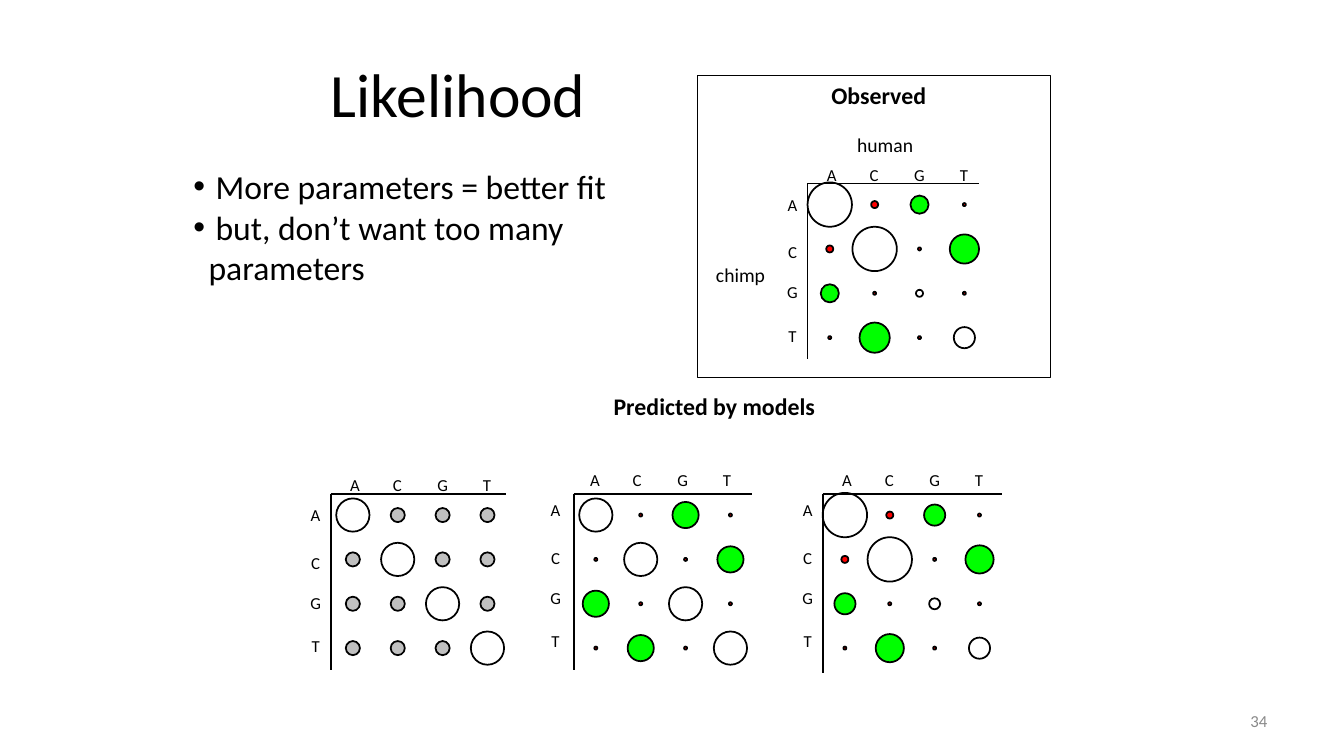
from lxml.etree import SubElement
from pptx import Presentation
from pptx.dml.color import RGBColor
from pptx.enum.shapes import MSO_CONNECTOR as Connector, MSO_SHAPE as Preset
from pptx.enum.text import MSO_ANCHOR as Anchor, PP_ALIGN as Align
from pptx.oxml.ns import qn
from pptx.util import Inches, Pt

# Content
COLORS = {"black": "000000", "white": "FFFFFF", "green": "00FF00",
          "red": "FF0000", "silver": "C0C0C0", "muted": "898989"}
FONT = "Calibri"
BASES = "ACGT"

# Text, left, top, width, height, format
TEXTS = [
    ("Likelihood", 2.17, 0.3, 4.75, 1.25, {"size": 44}),
    ("34", 9.56, 6.95, 3.01, 0.4,
     {"size": 12, "color": "muted", "align": Align.RIGHT}),
    ("Observed", 8.24, 0.8, 0.95, 0.29, {"size": 17, "bold": True}),
    ("human", 8.5, 1.32, 0.56, 0.24, {"size": 14}),
    ("chimp", 7.1, 2.61, 0.49, 0.24, {"size": 14}),
    ("Predicted by models", 6.08, 3.88, 2.01, 0.29, {"size": 17, "bold": True}),
]
# Text, left margin, bulleted
POINTS = [("More parameters = better fit", 0.22, True),
          ("but, don’t want too many", 0.22, True),
          ("parameters", 0.15, False)]

# Dots: (colour, diameter), one row for each base
TINY = ("red", 0.03)
SMALL = ("red", 0.07)
GREY = ("silver", 0.14)
EVEN = ("white", 0.33)
BIG = ("white", 0.44)
TRANSITION = ("green", 0.26)
MATRICES = [
    {"corner": (8.01, 1.82), "axes": (1.7, 1.74), "label_shift": (0, 0),
     "dots": [[BIG, SMALL, ("green", 0.18), TINY],
              [SMALL, BIG, TINY, ("green", 0.29)],
              [("green", 0.18), TINY, ("white", 0.07), TINY],
              [TINY, ("green", 0.3), TINY, ("white", 0.21)]]},
    {"corner": (3.28, 4.9), "axes": (1.74, 1.75), "label_shift": (0, 0),
     "dots": [[EVEN if row == column else GREY for column in range(4)]
              for row in range(4)]},
    {"corner": (5.69, 4.9), "axes": (1.77, 1.75), "label_shift": (-0.03, -0.05),
     "dots": [[EVEN, TINY, TRANSITION, TINY],
              [TINY, EVEN, TINY, TRANSITION],
              [TRANSITION, TINY, EVEN, TINY],
              [TINY, TRANSITION, TINY, EVEN]]},
    {"corner": (8.16, 4.9), "axes": (1.78, 1.78), "label_shift": (0, -0.05),
     "dots": [[BIG, SMALL, ("green", 0.21), TINY],
              [SMALL, BIG, TINY, ("green", 0.28)],
              [("green", 0.21), TINY, ("white", 0.11), TINY],
              [TINY, ("green", 0.28), TINY, ("white", 0.21)]]},
]

# Layout of every matrix, measured from its corner
FIRST_DOT = (0.22, 0.21)
DOT_STEP = (0.445, 0.44)
COLUMN_LABELS = [0.24, 0.66, 1.11, 1.55]
ROW_LABELS = [0.11, 0.58, 0.98, 1.41]
COLUMN_LABEL_TOP = -0.19
ROW_LABEL_CENTER = -0.15
LABEL_WIDTH, LABEL_HEIGHT = 0.12, 0.2


def rgb(name):
    return RGBColor.from_string(COLORS[name])


def inches(*lengths):
    return [Inches(length) for length in lengths]


def format_span(span, size, color="black", bold=False):
    for name, value in {"name": FONT, "size": Pt(size), "bold": bold}.items():
        setattr(span.font, name, value)
    span.font.color.rgb = rgb(color)


def add_text(shapes, text, left, top, width, height, style):
    box = shapes.add_textbox(*inches(left, top, width, height))
    frame = {"word_wrap": False, "vertical_anchor": Anchor.MIDDLE,
             "margin_left": 0, "margin_right": 0,
             "margin_top": 0, "margin_bottom": 0}
    for name, value in frame.items():
        setattr(box.text_frame, name, value)
    para = box.text_frame.paragraphs[0]
    style = dict(style)
    para.alignment = style.pop("align", Align.CENTER)
    span = para.add_run()
    span.text = text
    format_span(span, **style)


def add_outlined(shapes, preset, left, top, width, height, color, weight):
    shape = shapes.add_shape(preset, *inches(left, top, width, height))
    shape.shadow.inherit = False
    shape.fill.solid()
    shape.fill.fore_color.rgb = rgb(color)
    shape.line.color.rgb = rgb("black")
    shape.line.width = Pt(weight)


def add_axis(shapes, start, end):
    axis = shapes.add_connector(Connector.STRAIGHT, *inches(*start, *end))
    axis.line.color.rgb = rgb("black")
    axis.line.width = Pt(1.25)
    SubElement(axis._element.spPr, qn("a:effectLst"))


def add_matrix(shapes, corner, axes, label_shift, dots):
    x, y = corner
    for row, line in enumerate(dots):
        for column, (color, size) in enumerate(line):
            left = x + FIRST_DOT[0] + column * DOT_STEP[0] - size / 2
            top = y + FIRST_DOT[1] + row * DOT_STEP[1] - size / 2
            add_outlined(shapes, Preset.OVAL, left, top, size, size, color, 1.25)
    add_axis(shapes, corner, (x + axes[0], y))
    add_axis(shapes, corner, (x, y + axes[1]))
    label_x, label_y = x + label_shift[0], y + label_shift[1]
    for base, across, down in zip(BASES, COLUMN_LABELS, ROW_LABELS):
        for center, top in ((across, COLUMN_LABEL_TOP), (ROW_LABEL_CENTER, down)):
            add_text(shapes, base, label_x + center - LABEL_WIDTH / 2,
                     label_y + top, LABEL_WIDTH, LABEL_HEIGHT, {"size": 12})


def add_points(shapes):
    box = shapes.add_textbox(*inches(1.82, 1.6, 4.68, 1.31))
    frame = box.text_frame
    frame.word_wrap = True
    for index, (text, margin, bulleted) in enumerate(POINTS):
        para = frame.add_paragraph() if index else frame.paragraphs[0]
        span = para.add_run()
        span.text = text
        format_span(span, 24)
        properties = para._p.get_or_add_pPr()
        properties.set("marL", str(Inches(margin)))
        if bulleted:
            properties.set("indent", str(-Inches(margin)))
            SubElement(properties, qn("a:buFont"), typeface="Arial")
            SubElement(properties, qn("a:buChar"), char="•")


def main():
    deck = Presentation()
    deck.slide_width, deck.slide_height = inches(13.33, 7.5)
    page = deck.slides.add_slide(deck.slide_layouts[6])

    # Frame around the observed counts
    add_outlined(page.shapes, Preset.RECTANGLE, 6.92, 0.75, 3.5, 3, "white", 0.75)

    # Dot matrices
    for matrix in MATRICES:
        add_matrix(page.shapes.add_group_shape().shapes, **matrix)

    # Headings and bullet points
    for text in TEXTS:
        add_text(page.shapes, *text)
    add_points(page.shapes)

    deck.save("out.pptx")


if __name__ == "__main__":
    main()
